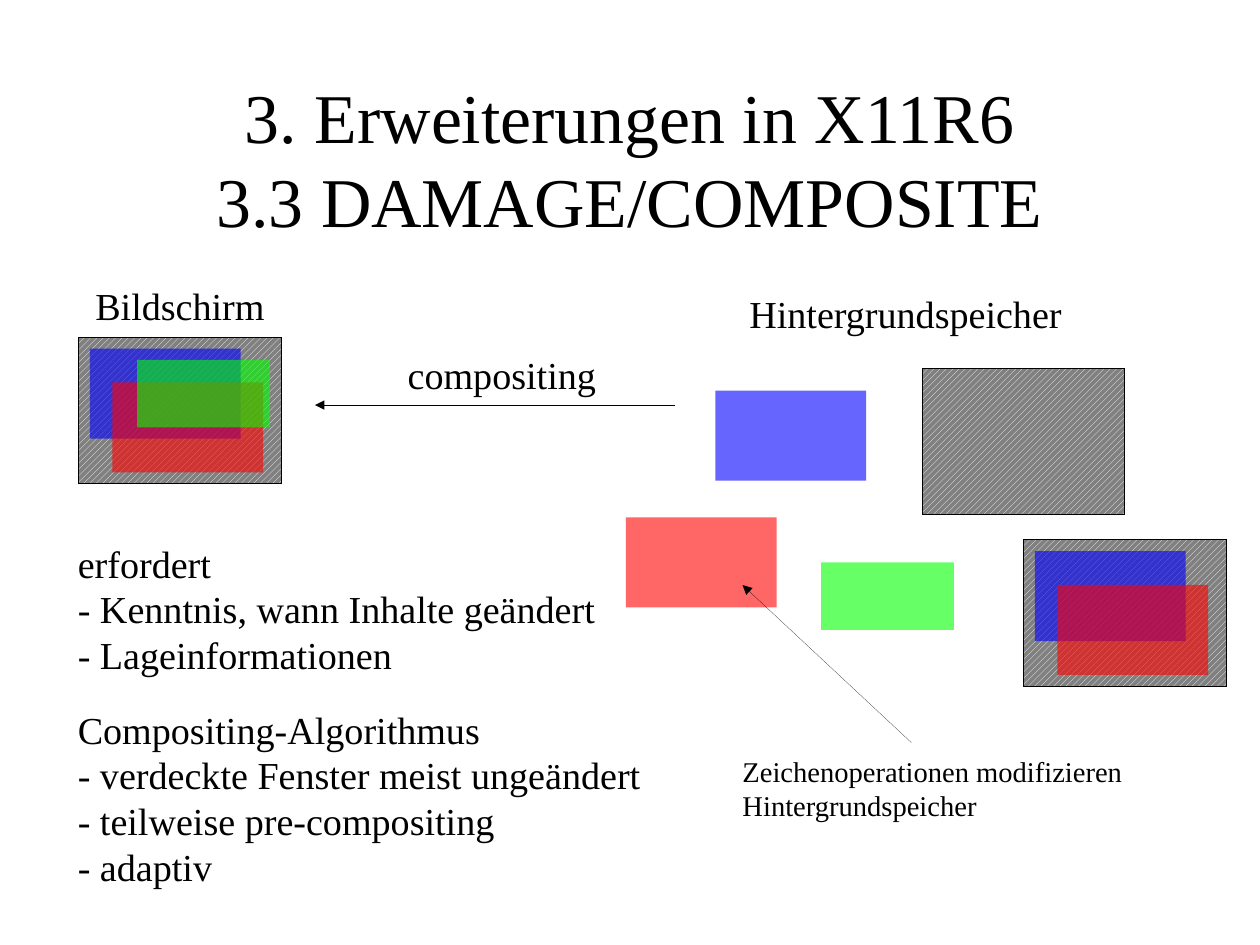
import pptx
import pptx.util
import pptx.dml.color
import pptx.enum.dml
import pptx.enum.shapes
import pptx.enum.text
import pptx.oxml
import pptx.oxml.ns
import lxml.etree

SCALE = 3600  # EMU per px, 100 px to the centimetre
COLORS = {"ink": "000000", "gray": "808080", "hatch": "FFFFFF",
          "blue": "0000FF", "red": "FF0000", "green": "00FF00"}
SIZES = {"blue": (335, 200), "red": (335, 200), "green": (295, 150)}
OFFSETS = {"blue": (25, 25), "red": (75, 100), "green": (130, 50)}
SCREEN = (450, 325)

ALIGN = pptx.enum.text.PP_ALIGN
ANCHOR = pptx.enum.text.MSO_ANCHOR
FIT = pptx.enum.text.MSO_AUTO_SIZE


def px(value):
    return pptx.util.Emu(value * SCALE)


def tint(name):
    return pptx.dml.color.RGBColor.from_string(COLORS[name])


def sub(node, tag, **attrs):
    return lxml.etree.SubElement(node, pptx.oxml.ns.qn(tag), **attrs)


class Deck:
    font = "Times New Roman"

    def __init__(self, wide, high):
        self.show = pptx.Presentation()
        self.show.slide_width, self.show.slide_height = px(wide), px(high)
        self.slide = self.show.slides.add_slide(self.show.slide_layouts[6])
        self.shapes = self.slide.shapes

    def group(self):
        self.shapes = self.slide.shapes.add_group_shape().shapes

    def ungroup(self):
        self.shapes = self.slide.shapes

    def text(self, box, lines, size=24, align=ALIGN.LEFT, **frame):
        body = self.shapes.add_textbox(*map(px, box)).text_frame
        style = {"margin_left": 0, "margin_right": 0, "margin_top": 0,
                 "margin_bottom": 0, "word_wrap": True,
                 "auto_size": FIT.SHAPE_TO_FIT_TEXT,
                 "vertical_anchor": ANCHOR.TOP, **frame}
        for name, value in style.items():
            setattr(body, name, value)
        body.text = "\n".join(lines)
        for par in body.paragraphs:
            par.alignment = align
            for run in par.runs:
                for name, value in {"name": self.font,
                                    "size": pptx.util.Pt(size)}.items():
                    setattr(run.font, name, value)
                run.font.color.rgb = tint("ink")

    def rect(self, x, y, size):
        shape = self.shapes.add_shape(
            pptx.enum.shapes.MSO_SHAPE.RECTANGLE, *map(px, (x, y, *size)))
        shape.shadow.inherit = False
        return shape

    def window(self, name, x, y):
        shape = self.rect(x, y, SIZES[name])
        shape.fill.solid()
        shape.fill.fore_color.rgb = tint(name)
        color = shape.fill._xPr.find(".//" + pptx.oxml.ns.qn("a:srgbClr"))
        sub(color, "a:alpha", val="60000")
        shape.line.fill.background()

    def screen(self, x, y, names=()):
        base, hatch = self.rect(x, y, SCREEN), self.rect(x, y, SCREEN)
        base.fill.solid()
        base.fill.fore_color.rgb = tint("gray")
        hatch.fill.patterned()
        hatch.fill.pattern = pptx.enum.dml.MSO_PATTERN.WIDE_UPWARD_DIAGONAL
        hatch.fill.fore_color.rgb = tint("hatch")
        hatch.fill.back_color.rgb = tint("hatch")
        # The gray base shows between the hatch lines
        back = hatch.fill._xPr.find(".//" + pptx.oxml.ns.qn("a:bgClr"))
        sub(back[0], "a:alpha", val="0")
        for shape in (base, hatch):
            self.stroke(shape.line)
        for name in names:
            left, top = OFFSETS[name]
            self.window(name, x + left, y + top)

    def stroke(self, line):
        line.color.rgb = tint("ink")
        # An explicit zero makes a hairline and overrides the theme
        edge = line._get_or_add_ln()
        edge.set("w", "0")
        return edge

    def arrow(self, start, end):
        line = self.shapes.add_connector(
            pptx.enum.shapes.MSO_CONNECTOR.STRAIGHT, *map(px, start + end))
        sub(self.stroke(line.line), "a:tailEnd", type="triangle")
        sub(line._element.spPr, "a:effectLst")


def main():
    deck = Deck(2800, 2100)
    mid = {"align": ALIGN.CENTER, "vertical_anchor": ANCHOR.MIDDLE}

    # Title
    deck.text((205, 175, 2390, 350),
              ["3. Erweiterungen in X11R6\v3.3 DAMAGE/COMPOSITE"], 44, **mid)

    # Composed screen
    deck.group()
    deck.screen(175, 750, ("blue", "red", "green"))
    deck.ungroup()
    deck.text((175, 631, 450, 94), ["Bildschirm"], **mid)

    # Background store
    deck.group()
    deck.screen(2050, 818)
    for name, x, y in (("blue", 1590, 868), ("red", 1391, 1150),
                       ("green", 1825, 1250)):
        deck.window(name, x, y)
    deck.text((1625, 649, 775, 94), ["Hintergrundspeicher"], **mid)

    # Drawing operations
    deck.group()
    deck.arrow((2025, 1650), (1650, 1300))
    deck.text((1650, 1675, 900, 150),
              ["Zeichenoperationen modifizieren Hintergrundspeicher"], 18,
              auto_size=FIT.NONE)

    # Compositing step
    deck.group()
    deck.arrow((1500, 900), (700, 900))
    deck.text((906, 781, 419, 94), ["compositing"], word_wrap=False)
    deck.ungroup()

    # Notes on the left
    deck.text((173, 1200, 1150, 282),
              ["erfordert", "- Kenntnis, wann Inhalte geändert",
               "- Lageinformationen"], word_wrap=False)
    deck.text((173, 1569, 1252, 373),
              ["Compositing-Algorithmus",
               "- verdeckte Fenster meist ungeändert",
               "- teilweise pre-compositing", "- adaptiv"], word_wrap=False)

    # Partly composed screen
    deck.group()
    deck.screen(2275, 1200, ("blue", "red"))

    deck.show.save("out.pptx")


if __name__ == "__main__":
    main()
